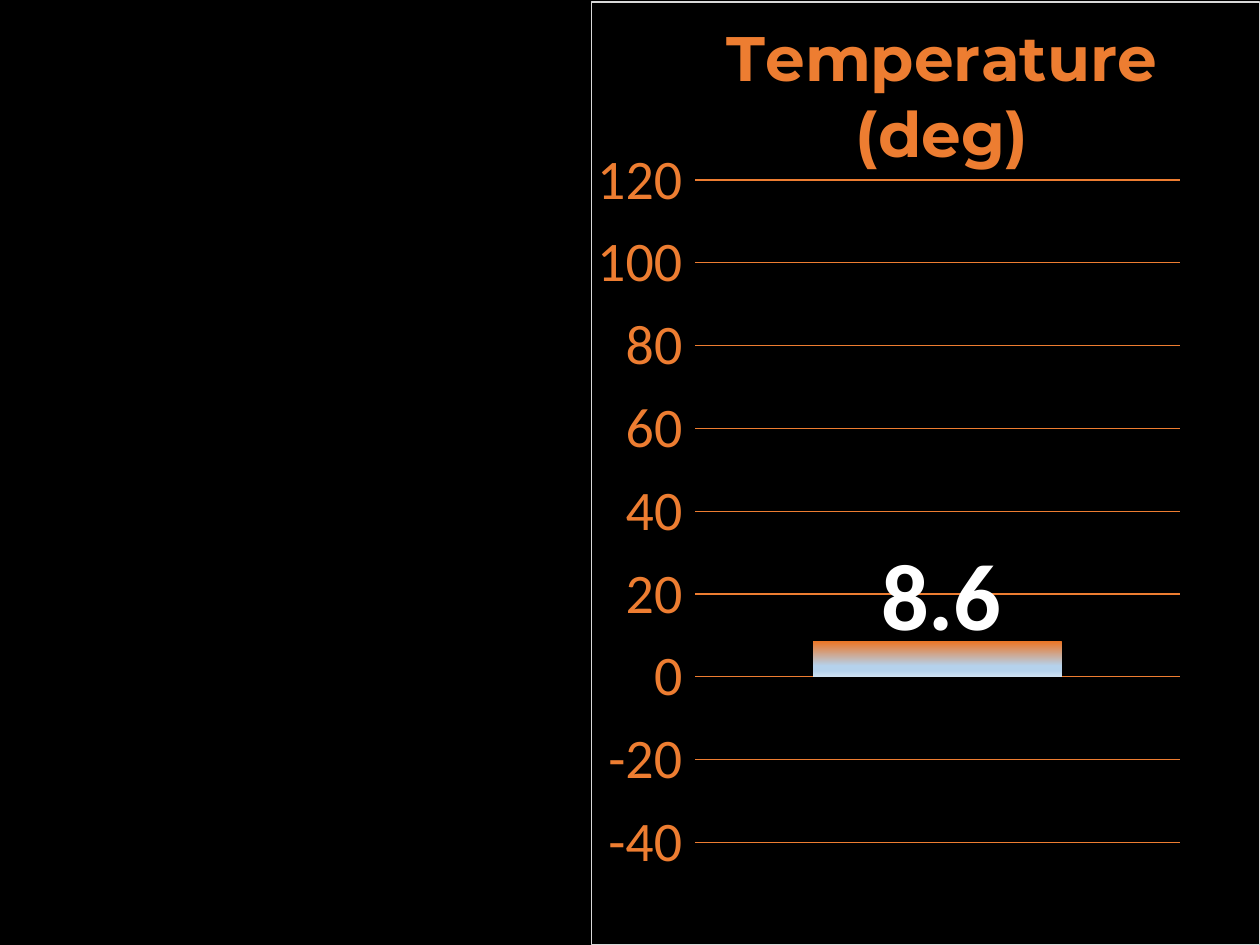
from lxml.etree import SubElement
from pptx import Presentation
from pptx.chart.data import CategoryChartData
from pptx.dml.color import RGBColor
from pptx.enum.chart import XL_CHART_TYPE, XL_LABEL_POSITION, XL_TICK_MARK
from pptx.oxml import parse_xml
from pptx.oxml.ns import nsdecls, qn
from pptx.util import Pt

TITLE = "Temperature (deg)"
CATEGORIES = ["1"]
SERIES = ("Series 1", [8.6])
SCALE = {"minimum_scale": -40, "maximum_scale": 120, "major_unit": 20}
COLORS = {
    "background": "000000",
    "accent": "ED7D31",
    "label": "FFFFFF",
    "border": "D9D9D9",
}
BAR_GRADIENT = [(0, "EC7524"), (69, "B5D2EC"), (83, "B5D2EC"), (100, "CEE1F2")]
CHART_BOX = (337.68, 0.72, 382.32, 539.28)
EDGE = {"xMode": "edge", "yMode": "edge"}
PLOT_LAYOUT = {
    "layoutTarget": "inner", **EDGE, "x": 0.155, "y": 0.189, "w": 0.726, "h": 0.703
}
TITLE_LAYOUT = {**EDGE, "x": 0.185, "y": 0}
LABEL_OFFSET = {"x": 0.006, "y": 0.02}


def rgb(name):
    return RGBColor.from_string(COLORS[name])


def format_font(font, size, color, name="Calibri", bold=False):
    font.size = Pt(size)
    font.name = name
    font.bold = bold
    font.color.rgb = rgb(color)


def add_title(chart, text, **font_format):
    frame = chart.chart_title.text_frame
    frame.text = text
    paragraph = frame.paragraphs[0]
    format_font(paragraph.font, **font_format)
    format_font(paragraph.runs[0].font, **font_format)
    chart.chart_title.include_in_layout = False


def set_layout(parent, values, index):
    for old in parent.findall(qn("c:layout")):
        parent.remove(old)
    layout = parse_xml(f"<c:layout {nsdecls('c')}><c:manualLayout/></c:layout>")
    for tag, value in values.items():
        SubElement(layout[0], qn(f"c:{tag}")).set("val", str(value))
    parent.insert(index, layout)


def fill_gradient(series, stops):
    fill = series.format.fill
    fill.gradient()
    fill.gradient_angle = 270
    stop_list = next(series._element.iter(qn("a:gsLst")))
    for stop in list(stop_list):
        stop_list.remove(stop)
    for percent, color in stops:
        stop = SubElement(stop_list, qn("a:gs"), pos=str(percent * 1000))
        SubElement(stop, qn("a:srgbClr"), val=color)


def style_chart_area(chart):
    area = parse_xml(
        f"<c:spPr {nsdecls('c', 'a')}>"
        f'<a:solidFill><a:srgbClr val="{COLORS["background"]}"/></a:solidFill>'
        f'<a:ln w="{Pt(0.75)}"><a:solidFill><a:srgbClr val="{COLORS["border"]}"/>'
        "</a:solidFill></a:ln></c:spPr>"
    )
    chart._chartSpace.find(qn("c:chart")).addnext(area)


def style_axes(chart):
    chart.category_axis.visible = False
    axis = chart.value_axis
    for name, value in SCALE.items():
        setattr(axis, name, value)
    axis.major_tick_mark = XL_TICK_MARK.OUTSIDE
    axis.minor_tick_mark = XL_TICK_MARK.NONE
    axis.format.line.fill.background()
    format_font(axis.tick_labels.font, 32, "accent")
    axis.has_major_gridlines = True
    grid = axis.major_gridlines.format.line
    grid.width = Pt(0.75)
    grid.color.rgb = rgb("accent")


def style_bar(plot):
    plot.gap_width = 95
    plot.overlap = -45
    plot.vary_by_categories = False
    series = plot.series[0]
    series.invert_if_negative = False
    fill_gradient(series, BAR_GRADIENT)
    series.data_labels.show_value = True
    for label in (series.data_labels, series.points[0].data_label):
        label.position = XL_LABEL_POSITION.OUTSIDE_END
        format_font(label.font, 54, "label", bold=True)
    set_layout(next(series._element.iter(qn("c:dLbl"))), LABEL_OFFSET, 1)


def add_temperature_chart(slide):
    data = CategoryChartData()
    data.categories = CATEGORIES
    data.add_series(*SERIES)
    frame = slide.shapes.add_chart(
        XL_CHART_TYPE.COLUMN_CLUSTERED, *map(Pt, CHART_BOX), data
    )
    chart = frame.chart
    chart.has_legend = False
    format_font(chart.font, 10, "label")
    style_chart_area(chart)
    add_title(chart, TITLE, size=36, color="accent", name="Montserrat", bold=True)
    style_axes(chart)
    style_bar(chart.plots[0])
    set_layout(chart.chart_title._element, TITLE_LAYOUT, 1)
    set_layout(next(chart._chartSpace.iter(qn("c:plotArea"))), PLOT_LAYOUT, 0)


def main():
    presentation = Presentation()
    presentation.slide_width = Pt(720)
    presentation.slide_height = Pt(540)
    slide = presentation.slides.add_slide(presentation.slide_layouts[6])
    slide.background.fill.solid()
    slide.background.fill.fore_color.rgb = rgb("background")
    add_temperature_chart(slide)
    presentation.save("out.pptx")


if __name__ == "__main__":
    main()
